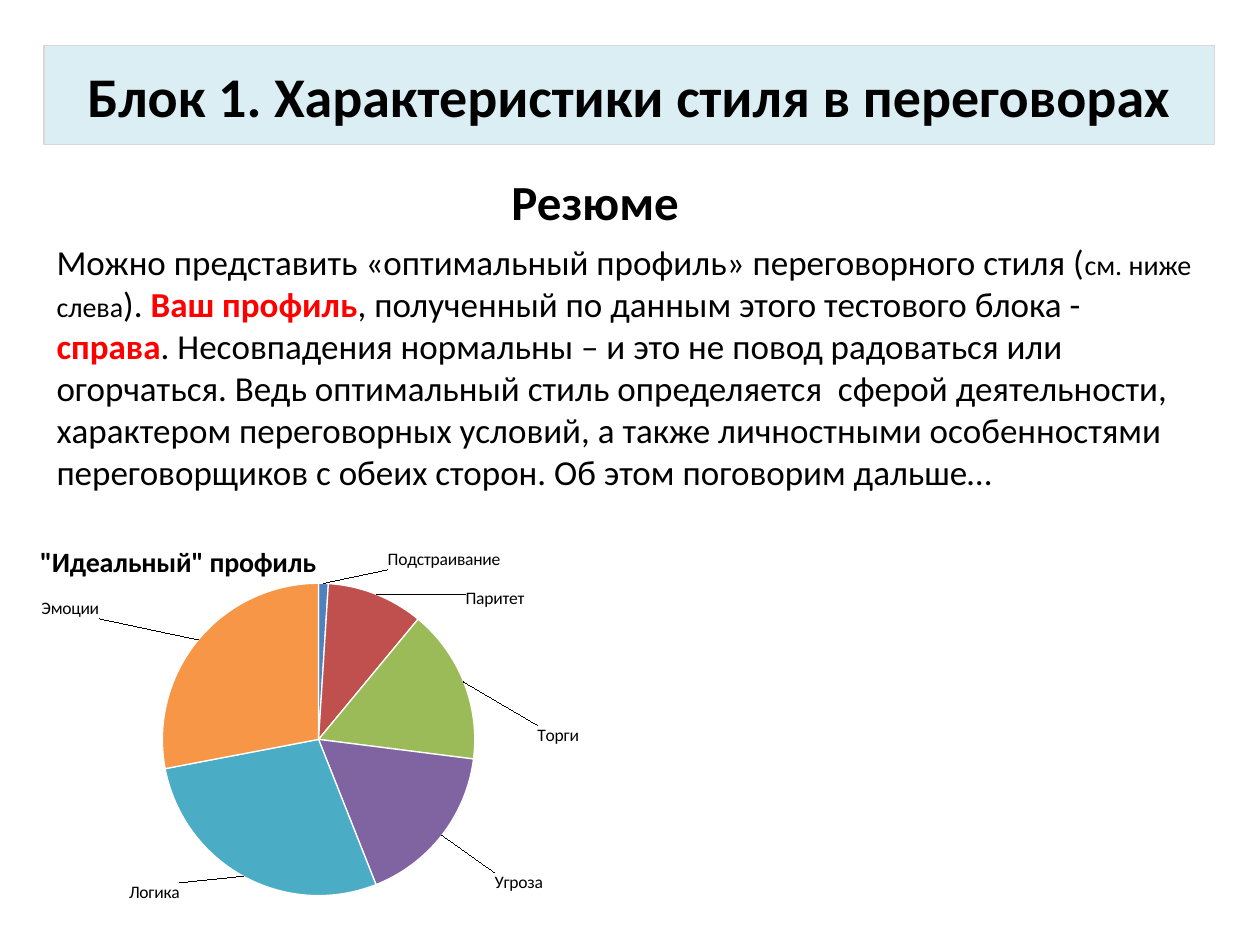
from dataclasses import dataclass

from lxml import etree
from pptx import Presentation
from pptx.chart.data import CategoryChartData
from pptx.dml.color import RGBColor
from pptx.enum.chart import XL_CHART_TYPE, XL_LABEL_POSITION
from pptx.enum.shapes import MSO_SHAPE
from pptx.enum.text import MSO_ANCHOR, PP_ALIGN
from pptx.oxml import parse_xml
from pptx.oxml.ns import nsdecls, qn
from pptx.util import Inches, Pt

PIE, OUTSIDE = XL_CHART_TYPE.PIE, XL_LABEL_POSITION.OUTSIDE_END
RECT, MIDDLE, CENTER, LEFT = MSO_SHAPE.RECTANGLE, MSO_ANCHOR.MIDDLE, PP_ALIGN.CENTER, PP_ALIGN.LEFT
W, H = 10, 7.5
FONT = "Calibri"
COLORS = {
    "text": "000000", "accent": "FF0000", "banner": "DBEEF4", "border": "D9D9D9",
    "white": "FFFFFF", "blue": "4F81BD", "red": "C0504D", "green": "9BBB59",
    "purple": "8064A2", "teal": "4BACC6", "orange": "F79646",
}


@dataclass
class Box:
    """Place on the slide, as shares of its width and height."""
    x: float
    y: float
    w: float
    h: float

    def emu(self) -> tuple:
        return Inches(self.x * W), Inches(self.y * H), Inches(self.w * W), Inches(self.h * H)


@dataclass
class Run:
    text: str
    size: float = 20
    color: str = "text"
    bold: bool = False


@dataclass
class Slice:
    """One pie slice; dx and dy shift its label by shares of the chart."""
    label: str
    value: int
    color: str
    dx: float
    dy: float


SLICES = [
    Slice("Подстраивание", 1, "blue", 0.18, -0.015),
    Slice("Паритет", 10, "red", 0.13, 0.05),
    Slice("Торги", 16, "green", 0.1, 0.16),
    Slice("Угроза", 17, "purple", 0.07, 0.08),
    Slice("Логика", 28, "teal", -0.09, 0),
    Slice("Эмоции", 28, "orange", -0.14, -0.04),
]
BODY = [
    Run("Можно представить «оптимальный профиль» переговорного стиля ("),
    Run("см. ниже слева", size=16),
    Run("). "),
    Run("Ваш профиль", color="accent", bold=True),
    Run(", полученный по данным этого тестового блока - "),
    Run("справа", color="accent", bold=True),
    Run(". Несовпадения нормальны – и это не повод радоваться или огорчаться. "
        "Ведь оптимальный стиль определяется  сферой деятельности, характером "
        "переговорных условий, а также личностными особенностями переговорщиков "
        "с обеих сторон. Об этом поговорим дальше…"),
]


def rgb(name: str) -> RGBColor:
    return RGBColor.from_string(COLORS[name])


def style_font(font, size: float, color: str = "text", bold: bool = False) -> None:
    font.name, font.size, font.bold = FONT, Pt(size), bold
    font.color.rgb = rgb(color)


def write(tf, runs: list[Run], align=LEFT, anchor=None, before: float = 0) -> None:
    tf.word_wrap = True
    if anchor is not None:
        tf.vertical_anchor = anchor
    p = tf.paragraphs[0]
    p.alignment, p.space_before = align, Pt(before)
    for run in runs:
        r = p.add_run()
        r.text = run.text
        style_font(r.font, run.size, run.color, run.bold)


def add_text(s, box: Box, runs: list[Run], **fmt) -> None:
    write(s.shapes.add_textbox(*box.emu()).text_frame, runs, **fmt)


def add_banner(s, box: Box, run: Run) -> None:
    sp = s.shapes.add_shape(RECT, *box.emu())
    sp.shadow.inherit = False
    sp.fill.solid()
    sp.fill.fore_color.rgb = rgb("banner")
    sp.line.color.rgb = rgb("border")
    sp.line.width = Pt(0.75)
    write(sp.text_frame, [run], align=CENTER, anchor=MIDDLE)


def set_layout(parent, after: str, **values) -> None:
    """Give a chart part a manual layout, right after the named child."""
    for old in parent.findall(qn("c:layout")):
        parent.remove(old)
    layout = parse_xml(f"<c:layout {nsdecls('c')}><c:manualLayout/></c:layout>")
    for tag, val in values.items():
        etree.SubElement(layout[0], qn(f"c:{tag}")).set("val", str(val))
    if after:
        parent.find(qn(after)).addnext(layout)
    else:
        parent.insert(0, layout)


def add_pie(s, box: Box, title: str, slices: list[Slice]) -> None:
    data = CategoryChartData()
    data.categories = [str(i) for i in range(1, len(slices) + 1)]
    data.add_series("Series 1", [sl.value for sl in slices])
    chart = s.shapes.add_chart(PIE, *box.emu(), data).chart
    style_font(chart.font, 10)
    chart.has_legend = False

    # Title and plot area
    write(chart.chart_title.text_frame, [Run(title, size=16, bold=True)])
    set_layout(chart.chart_title._element, "c:tx", xMode="edge", yMode="edge", x=0.02, y=0.07)
    plot = chart.plots[0]
    plot.vary_by_categories = True
    set_layout(plot._element.getparent(), "", layoutTarget="inner", xMode="edge",
               yMode="edge", x=0.21, y=0.18, w=0.47, h=0.76)

    # Slices and their labels
    series = plot.series[0]
    for i, sl in enumerate(slices):
        point = series.points[i]
        point.format.fill.solid()
        point.format.fill.fore_color.rgb = rgb(sl.color)
        point.format.line.color.rgb = rgb("white")
        point.format.line.width = Pt(0.75)
        label = point.data_label
        write(label.text_frame, [Run(sl.label, size=10)])
        label.position = OUTSIDE
        dlbl = series._element.xpath(f"c:dLbls/c:dLbl[c:idx/@val='{i}']")[0]
        set_layout(dlbl, "c:idx", x=sl.dx, y=sl.dy)


def main() -> None:
    prs = Presentation()
    prs.slide_width, prs.slide_height = Inches(W), Inches(H)
    s = prs.slides.add_slide(prs.slide_layouts[6])

    # Heading
    add_banner(s, Box(0.035, 0.048, 0.929, 0.105),
               Run("Блок 1. Характеристики стиля в переговорах", size=32, bold=True))

    # Summary
    add_text(s, Box(0.035, 0.248, 0.921, 0.409), BODY, before=4)
    add_text(s, Box(0.396, 0.175, 0.189, 0.099), [Run("Резюме", size=28, bold=True)], before=5.6)

    # Profile chart
    add_pie(s, Box(0.017, 0.539, 0.53, 0.435), "\"Идеальный\" профиль", SLICES)

    prs.save("out.pptx")


if __name__ == "__main__":
    main()
